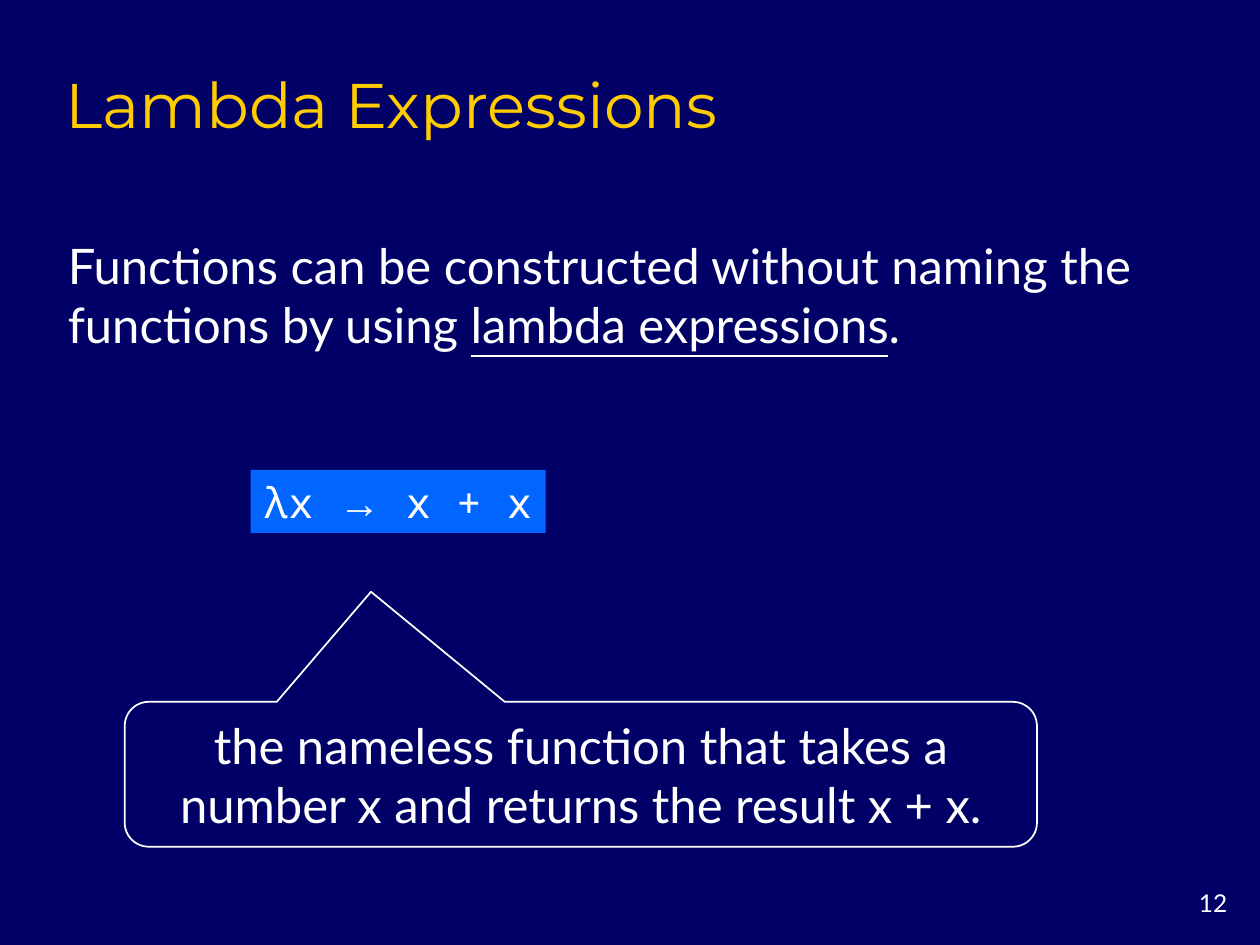
from pptx import Presentation
from pptx.dml.color import RGBColor
from pptx.enum.shapes import MSO_SHAPE as Shape
from pptx.enum.text import MSO_ANCHOR as Anchor, PP_ALIGN as Align
from pptx.util import Inches, Pt

COLORS = {
    "background": "000066",
    "title": "FFCC00",
    "text": "FFFFFF",
    "code": "0066FF",
}
BODY_FONT = "Lato"
TITLE_FONT = "Montserrat"
CODE_FONT = "Noto Sans Mono"
ARROW_FONT = "Times New Roman"


def rgb(name):
    return RGBColor.from_string(COLORS[name])


class SlideBuilder:
    """Holds the text style and the slide being filled."""

    def __init__(self, slide):
        self.slide = slide
        slide.background.fill.solid()
        slide.background.fill.fore_color.rgb = rgb("background")

    def set_text(self, shape, runs, size, font=BODY_FONT, color="text",
                 align=Align.LEFT, anchor=Anchor.MIDDLE, wrap=True):
        """Fill the shape with one paragraph and return its runs."""
        frame = shape.text_frame
        frame.word_wrap = wrap
        frame.vertical_anchor = anchor
        paragraph = frame.paragraphs[0]
        paragraph.alignment = align
        paragraph.font.size = Pt(size)
        paragraph.font.name = font
        paragraph.font.color.rgb = rgb(color)
        for text in runs:
            paragraph.add_run().text = text
        return paragraph.runs

    def text(self, box, runs, size, **style):
        shape = self.slide.shapes.add_textbox(*map(Inches, box))
        return self.set_text(shape, runs, size, **style)

    def shape(self, kind, box, fill=None, line=None):
        shape = self.slide.shapes.add_shape(kind, *map(Inches, box))
        shape.shadow.inherit = False
        if fill:
            shape.fill.solid()
            shape.fill.fore_color.rgb = rgb(fill)
        else:
            shape.fill.background()
        if line:
            shape.line.color.rgb = rgb(line)
            shape.line.width = Pt(1)
        else:
            shape.line.fill.background()
        return shape

    def code(self, box, runs, size):
        shape = self.shape(Shape.RECTANGLE, box, fill="code")
        return self.set_text(shape, runs, size, font=CODE_FONT, wrap=False)

    def callout(self, box, pointer, text, size):
        """Add an outlined bubble; pointer is its tip relative to the centre."""
        shape = self.shape(Shape.ROUNDED_RECTANGULAR_CALLOUT, box, line="text")
        for index, value in enumerate(pointer):
            shape.adjustments[index] = value
        self.set_text(shape, [text], size, align=Align.CENTER)


def main():
    presentation = Presentation()
    presentation.slide_width = Inches(10)
    presentation.slide_height = Inches(7.5)
    builder = SlideBuilder(
        presentation.slides.add_slide(presentation.slide_layouts[6]))

    builder.text((9.17, 7, 0.67, 0.33), ["12"], 14,
                 align=Align.RIGHT, anchor=Anchor.TOP)
    builder.text((0.42, 0.42, 8.5, 0.75), ["Lambda Expressions"], 36,
                 font=TITLE_FONT, color="title", anchor=Anchor.BOTTOM)

    _, term, _ = builder.text(
        (0.44, 1.82, 9.04, 1.03),
        ["Functions can be constructed without naming the functions by using ",
         "lambda expressions", "."], 28)
    term.font.underline = True

    _, arrow, _ = builder.code(
        (1.99, 3.73, 2.34, 0.5), ["λx ", "→", " x + x"], 24)
    arrow.font.name = ARROW_FONT

    builder.callout(
        (0.99, 5.57, 7.24, 1.15), (-0.23, -1.26),
        "the nameless function that takes a number x and returns "
        "the result x + x.", 28)

    presentation.save("out.pptx")


if __name__ == "__main__":
    main()
